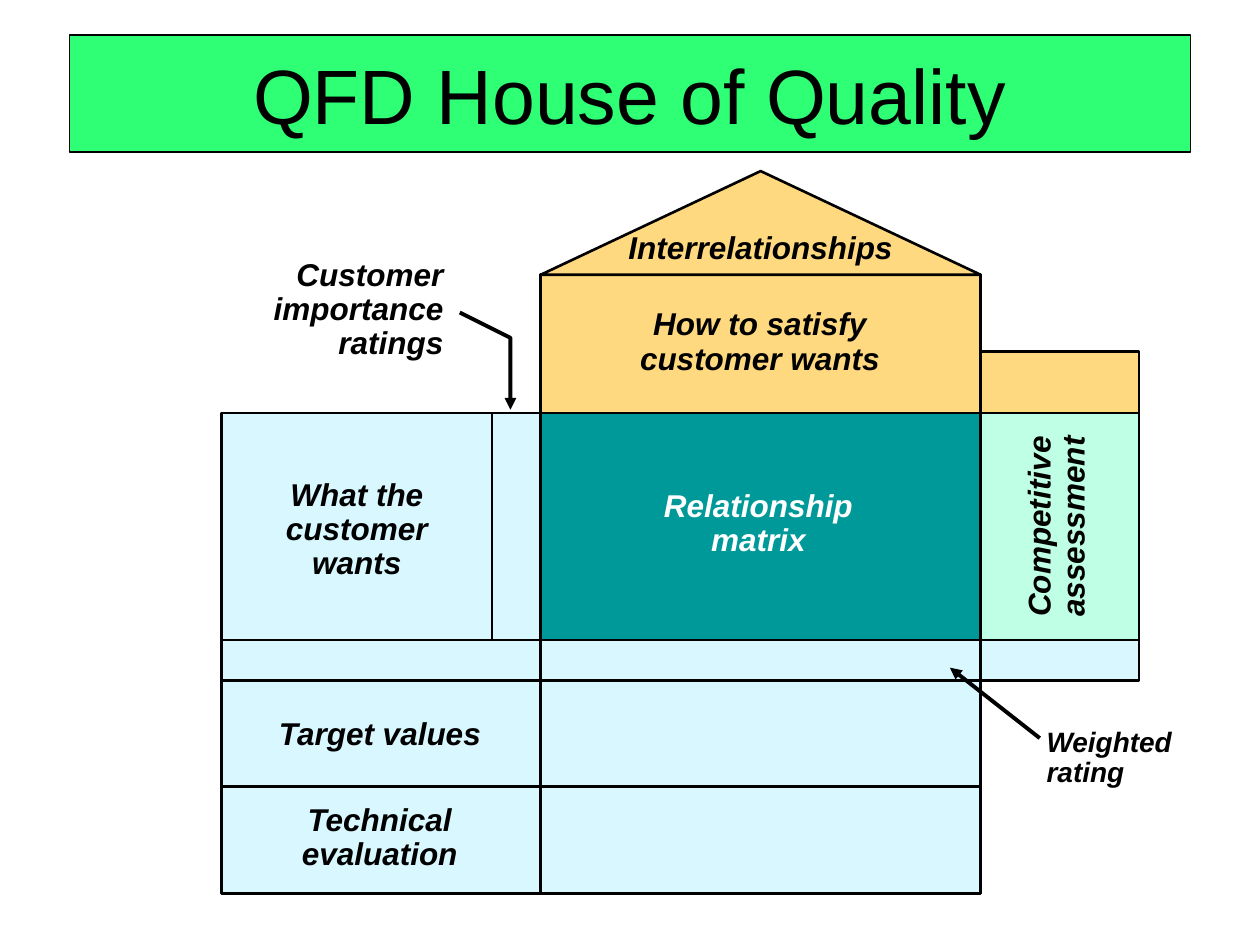
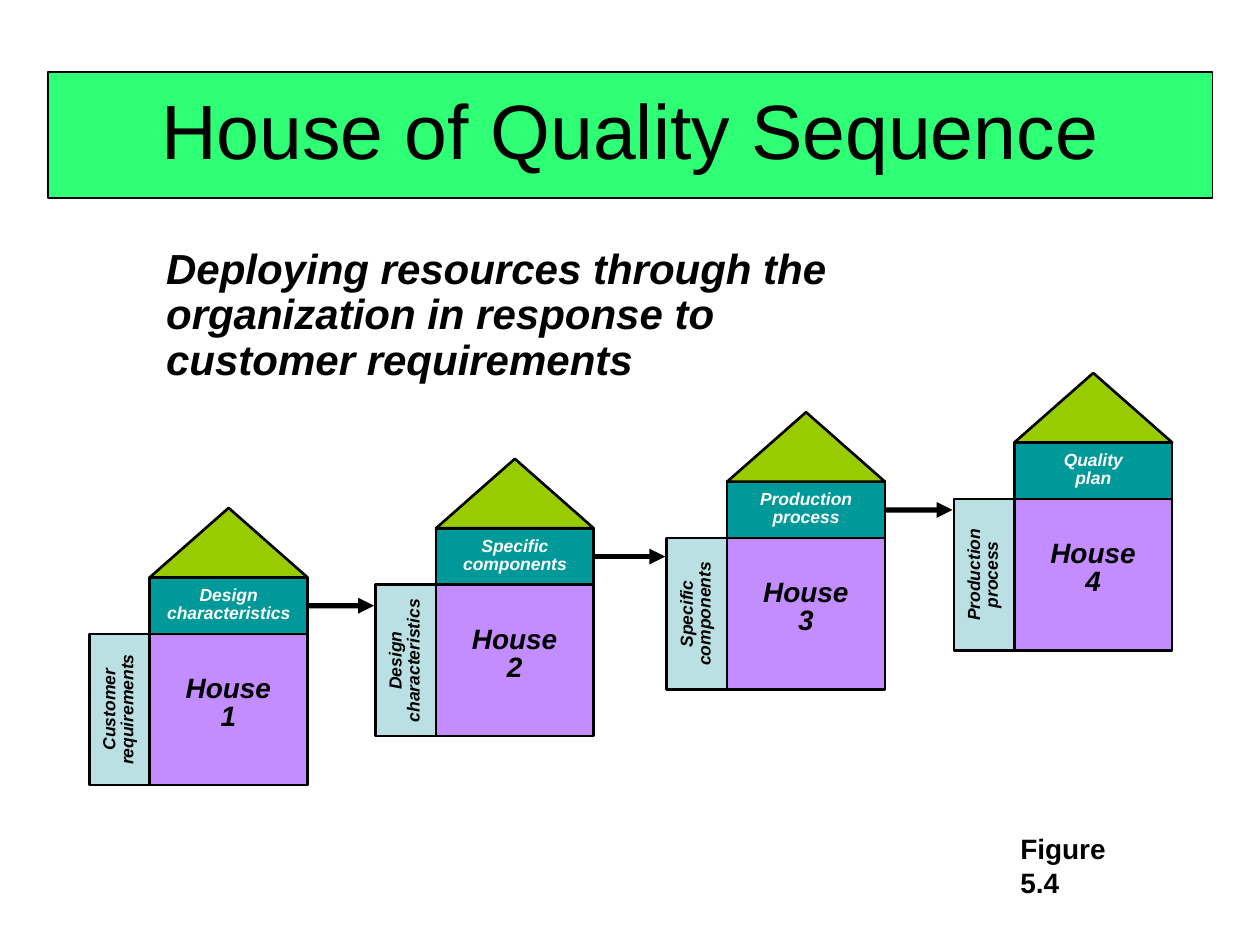
from typing import NamedTuple

from lxml.etree import SubElement
from pptx import Presentation
from pptx.dml.color import RGBColor
from pptx.enum.shapes import MSO_CONNECTOR as Link, MSO_SHAPE as Kind
from pptx.enum.text import MSO_ANCHOR as Anchor, MSO_AUTO_SIZE as Fit, PP_ALIGN as Align
from pptx.oxml.ns import qn
from pptx.util import Cm, Pt

# Shared look
FONT = "Arial"
BLACK, WHITE = "000000", "FFFFFF"
GREEN, TEAL, GOLD, SKY, MINT = "2FFF74", "009999", "FFD980", "D9F7FF", "BFFFE5"
LILAC, PALE, LIME = "C38DFF", "BBE0E3", "99CC00"


class Frame(NamedTuple):
    """Left, top, width and height in centimetres."""
    x: float
    y: float
    w: float
    h: float

    def cm(self) -> list:
        return [Cm(v) for v in self]

    def inner(self, w: float, h: float) -> "Frame":
        return Frame(self.x + (self.w - w) / 2, self.y + (self.h - h) / 2, w, h)


class Cell(NamedTuple):
    """A part of the large house, given by its edges."""
    left: float
    top: float
    right: float
    base: float
    fill: str
    kind: Kind = Kind.RECTANGLE

    def frame(self) -> Frame:
        return Frame(self.left, self.top, self.right - self.left, self.base - self.top)


class House(NamedTuple):
    """Corner of the body, band text and its width."""
    x: float
    y: float
    name: str
    wide: float


def rgb(color: str) -> RGBColor:
    return RGBColor.from_string(color)


# Drawing helpers
def write(shape, text: str, *, size=18, color=BLACK, bold=True, italic=True,
          align=Align.CENTER, gap=0.9, wrap=True, fit=Fit.SHAPE_TO_FIT_TEXT) -> None:
    body = shape.text_frame
    body.text = text
    body.word_wrap = wrap
    body.auto_size = fit
    for para in body.paragraphs:
        para.alignment = align
        para.line_spacing = gap
        font = para.runs[0].font
        font.name, font.size = FONT, Pt(size)
        font.bold, font.italic = bold, italic
        font.color.rgb = rgb(color)


def note(slide, text: str, frame: Frame, turn: int = 0, **style) -> None:
    box = slide.shapes.add_textbox(*frame.cm())
    box.rotation = turn
    write(box, text, **style)


def paint(shape, fill: str, width: float = 1.5) -> None:
    shape.shadow.inherit = False
    shape.fill.solid()
    shape.fill.fore_color.rgb = rgb(fill)
    stroke(shape, width)


def stroke(shape, width: float, head: bool = False) -> None:
    shape.line.color.rgb = rgb(BLACK)
    shape.line.width = Pt(width)
    if head:
        line = shape.element.spPr.find(qn("a:ln"))
        SubElement(line, qn("a:tailEnd"), type="triangle")


def block(slide, frame: Frame, fill: str, kind: Kind = Kind.RECTANGLE):
    shape = slide.shapes.add_shape(kind, *frame.cm())
    paint(shape, fill)
    return shape


def rule(slide, x1: float, y1: float, x2: float, y2: float,
         width: float = 1.5, head: bool = False):
    line = slide.shapes.add_connector(Link.STRAIGHT, Cm(x1), Cm(y1), Cm(x2), Cm(y2))
    stroke(line, width, head)
    SubElement(line.element.spPr, qn("a:effectLst"))
    return line


def start(deck, text: str, frame: Frame, width: float, gap: float):
    """Add a slide with a green title band."""
    slide = deck.slides.add_slide(deck.slide_layouts[5])
    title = slide.shapes.title
    title.left, title.top, title.width, title.height = frame.cm()
    paint(title, GREEN, width)
    write(title, text, size=44, bold=False, italic=False, gap=gap, fit=Fit.NONE)
    title.text_frame.vertical_anchor = Anchor.MIDDLE
    return slide


# Grid of the large house
WEST, RATE, WALL, EAST, EDGE = 4.47, 9.92, 10.9, 19.77, 22.96
PEAK, EAVES, STEP, TOP, SILL, GOAL, TECH, BASE = 3.45, 5.54, 7.09, 8.33, 12.9, 13.72, 15.86, 18.01

CELLS = [
    Cell(WALL, TOP, EAST, SILL, TEAL),
    Cell(WALL, EAVES, EAST, TOP, GOLD),
    Cell(WALL, PEAK, EAST, EAVES, GOLD, Kind.ISOSCELES_TRIANGLE),
    Cell(EAST, TOP, EDGE, SILL, MINT),
    Cell(EAST, STEP, EDGE, TOP, GOLD),
    Cell(WEST, GOAL, EAST, TECH, SKY),
    Cell(WEST, TECH, EAST, BASE, SKY),
    Cell(WEST, TOP, RATE, SILL, SKY),
    Cell(RATE, TOP, WALL, SILL, SKY),
    Cell(WEST, SILL, EDGE, GOAL, SKY),
]


def quality(deck) -> None:
    slide = start(deck, "QFD House of Quality", Frame(1.4, 0.71, 22.6, 2.36), 1, 1.0)
    for cell in CELLS:
        block(slide, cell.frame(), cell.fill, cell.kind)
    rule(slide, WALL, SILL, WALL, BASE)
    rule(slide, EAST, SILL, EAST, GOAL)

    # Labels
    note(slide, "Relationship\nmatrix", Frame(13.13, 9.75, 4.32, 1.63), color=WHITE, wrap=False)
    note(slide, "How to satisfy\ncustomer wants", Frame(11.94, 6.1, 6.76, 1.63))
    note(slide, "Interrelationships", Frame(12.42, 4.47, 5.84, 1.02),
         align=Align.LEFT, gap=1.0, wrap=False)
    note(slide, "Competitive assessment", Frame(18.64, 9.8, 5.36, 1.63), 270)
    note(slide, "What the customer\nwants", Frame(4.67, 9.53, 5.05, 2.31))
    note(slide, "Target values", Frame(4.8, 14.27, 5.72, 1.02), gap=1.0)
    note(slide, "Technical\nevaluation", Frame(5.66, 16.08, 3.99, 1.7))
    note(slide, "Customer importance ratings", Frame(5.05, 5.11, 4.14, 2.31), align=Align.RIGHT)
    note(slide, "Weighted rating", Frame(20.85, 14.55, 3.53, 1.47), size=16, align=Align.LEFT)

    # Pointers
    path = slide.shapes.build_freeform(Cm(9.27), Cm(6.3))
    path.add_line_segments([(Cm(10.29), Cm(6.81)), (Cm(10.29), Cm(8.26))], close=False)
    bent = path.convert_to_shape()
    bent.shadow.inherit = False
    bent.fill.background()
    stroke(bent, 2.25, head=True)
    rule(slide, 20.96, 14.88, 19.15, 13.46, 2.25, head=True)


# Sizes of the small houses
SPAN, TALL, SIDE, BAND, ROOF = 3.18, 3.05, 1.22, 1.14, 1.4

HOUSES = [
    House(3.02, 12.78, "Design characteristics", 3.12),
    House(8.79, 11.79, "Specific components", 2.62),
    House(14.66, 10.85, "Production process", 2.62),
    House(20.45, 10.06, "Quality plan", 2.01),
]


def home(slide, house: House, need: str, count: int):
    """Draw one small house and return its band."""
    x, y = house.x, house.y
    side = Frame(x - SIDE, y, SIDE, TALL)
    band = Frame(x, y - BAND, SPAN, BAND)
    block(slide, Frame(x, y, SPAN, TALL), LILAC)
    block(slide, side, PALE)
    strip = block(slide, band, TEAL)
    block(slide, Frame(x, y - BAND - ROOF, SPAN, ROOF), LIME, Kind.ISOSCELES_TRIANGLE)
    note(slide, need, side.inner(TALL, 0.99), 270, size=10, gap=0.85)
    note(slide, house.name, band.inner(house.wide, 0.99), size=10, color=WHITE, gap=0.85)
    note(slide, f"House {count}", Frame(x + 0.33, y + 0.71, 2.51, 1.42), size=16, gap=0.85)
    return strip


def sequence(deck) -> None:
    slide = start(deck, "House of Quality Sequence", Frame(0.97, 1.45, 23.47, 2.54), 0.75, 0.9)
    note(slide, "Deploying resources through the organization in response to customer requirements",
         Frame(3.1, 4.88, 13.84, 3), size=24, align=Align.LEFT)

    # Each house passes its band on to the next one's side
    need = "Customer requirements"
    strips = []
    for count, house in enumerate(HOUSES, 1):
        strips.append(home(slide, house, need, count))
        need = house.name
    for strip, house, after in zip(strips, HOUSES, HOUSES[1:]):
        y = house.y - BAND / 2
        arrow = rule(slide, house.x + SPAN, y, after.x - SIDE - 0.03, y, 3, head=True)
        arrow.begin_connect(strip, 3)

    note(slide, "Figure 5.4", Frame(20.32, 16.64, 3.15, 0.94), size=16,
         italic=False, align=Align.LEFT, gap=1.0, wrap=False)


def main() -> None:
    deck = Presentation()
    deck.slide_width, deck.slide_height = Cm(25.4), Cm(19.05)
    quality(deck)
    sequence(deck)
    deck.save("out.pptx")


if __name__ == "__main__":
    main()
